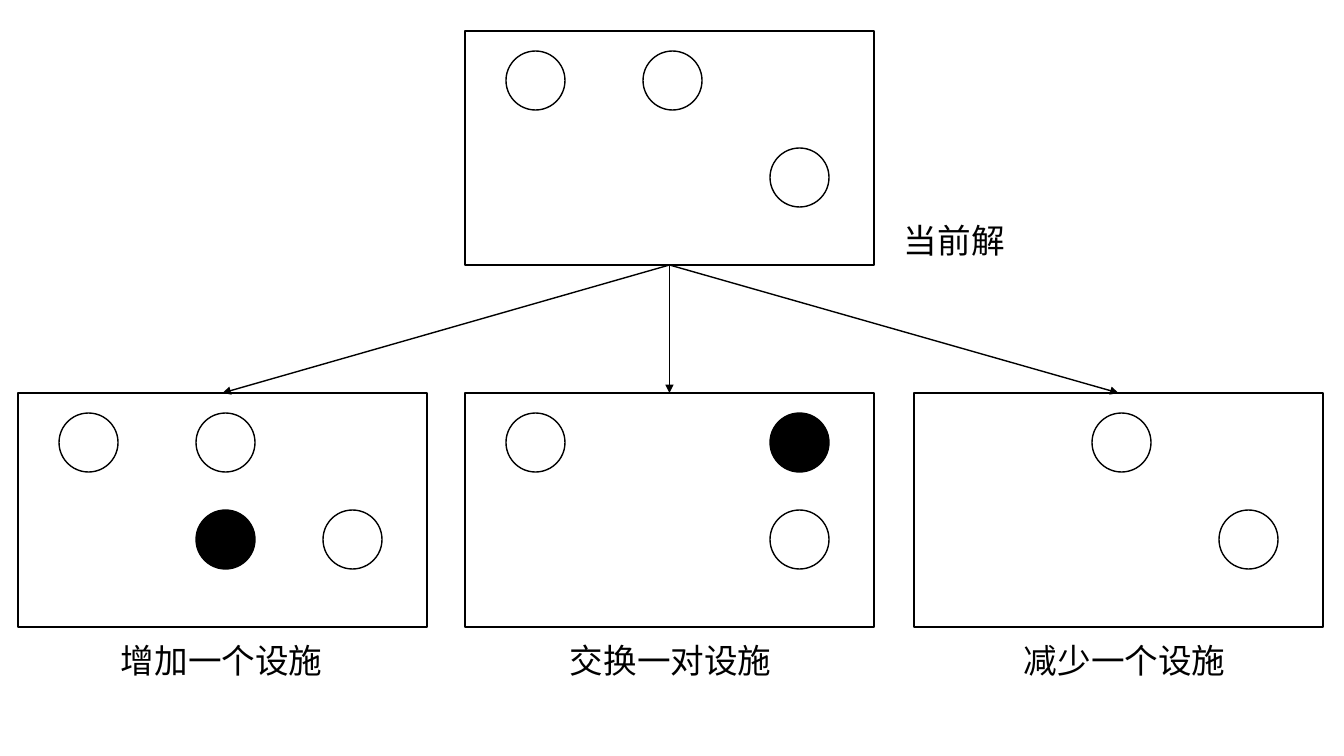
from lxml import etree
from pptx import Presentation
from pptx import util as u
from pptx.dml.color import RGBColor
from pptx.enum import shapes, text
from pptx.oxml.ns import qn

COLORS = {"ink": "000000", "paper": "FFFFFF"}
SCALE = 914400 / 100.8


def px(value):
    return u.Emu(round(value * SCALE))


class Diagram:
    font = "Noto Sans CJK SC"
    font_size = u.Pt(24)
    line_width = u.Pt(1)

    def __init__(self, slide):
        self.slide = slide

    def color(self, name):
        return RGBColor.from_string(COLORS[name])

    def shape(self, kind, left, top, width, height, fill="paper"):
        shape = self.slide.shapes.add_shape(kind, px(left), px(top), px(width), px(height))
        shape.shadow.inherit = False
        shape.fill.solid()
        shape.fill.fore_color.rgb = self.color(fill)
        shape.line.color.rgb = self.color("ink")
        shape.line.width = self.line_width
        return shape

    def panel(self, left, top, facilities):
        panel = self.shape(shapes.MSO_SHAPE.RECTANGLE, left, top, PANEL_WIDTH, PANEL_HEIGHT)
        for column, row, fill in facilities:
            self.shape(shapes.MSO_SHAPE.FLOWCHART_CONNECTOR, left + COLUMNS[column],
                       top + ROWS[row], FACILITY_SIZE, FACILITY_SIZE, fill)
        return panel

    def label(self, wording, left, top, width):
        box = self.slide.shapes.add_textbox(px(left), px(top), px(width), px(LABEL_HEIGHT))
        frame = box.text_frame
        frame.text = wording
        frame.word_wrap = False
        frame.auto_size = text.MSO_AUTO_SIZE.SHAPE_TO_FIT_TEXT
        run = frame.paragraphs[0].runs[0]
        run.font.name = self.font
        run.font.size = self.font_size
        run.font.color.rgb = self.color("ink")
        etree.SubElement(run.font._element, qn("a:ea"), typeface=self.font)

    def arrow(self, source, target):
        arrow = self.slide.shapes.add_connector(shapes.MSO_CONNECTOR.STRAIGHT, 0, 0, 0, 0)
        arrow.begin_connect(source, 2)
        arrow.end_connect(target, 0)
        arrow.line.color.rgb = self.color("ink")
        arrow.line.width = self.line_width
        etree.SubElement(arrow.line._get_or_add_ln(), qn("a:tailEnd"), type="triangle")
        etree.SubElement(arrow._element.spPr, qn("a:effectLst"))


PANEL_WIDTH, PANEL_HEIGHT = 409, 234
FACILITY_SIZE = 59
COLUMNS = (41, 178, 305)
ROWS = (20, 117)
CURRENT_TOP, NEIGHBOR_TOP = 31, 393
LABEL_TOP, LABEL_HEIGHT = 635, 50

CURRENT = [(0, 0, "paper"), (1, 0, "paper"), (2, 1, "paper")]
NEIGHBORS = [
    ("增加一个设施", 18, 111, CURRENT + [(1, 1, "ink")]),
    ("交换一对设施", 465, 560, [(0, 0, "paper"), (2, 1, "paper"), (2, 0, "ink")]),
    ("减少一个设施", 914, 1014, CURRENT[1:]),
]

presentation = Presentation()
presentation.slide_width = px(1344)
presentation.slide_height = px(756)
diagram = Diagram(presentation.slides.add_slide(presentation.slide_layouts[6]))

current = diagram.panel(465, CURRENT_TOP, CURRENT)
diagram.label("当前解", 894, 215, 122)
for wording, panel_left, label_left, facilities in NEIGHBORS:
    neighbor = diagram.panel(panel_left, NEIGHBOR_TOP, facilities)
    diagram.label(wording, label_left, LABEL_TOP, 224)
    diagram.arrow(current, neighbor)

presentation.save("out.pptx")
